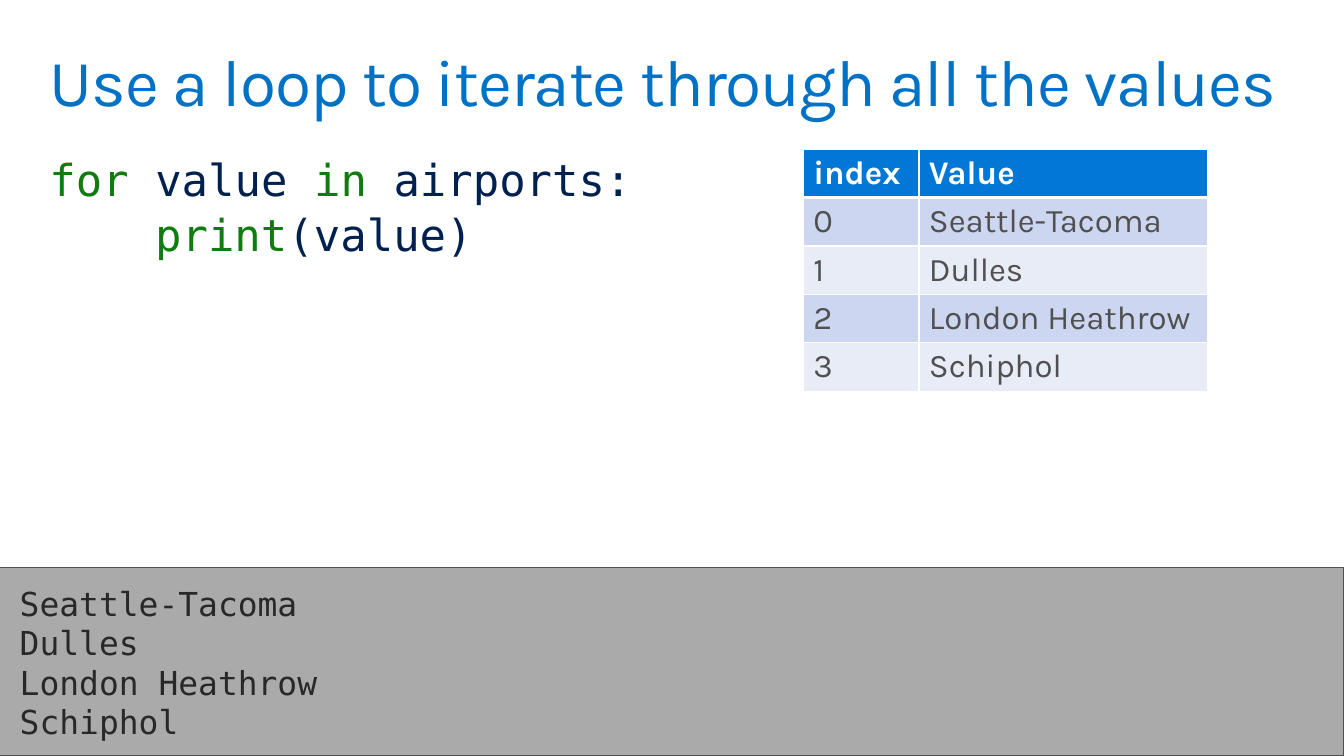
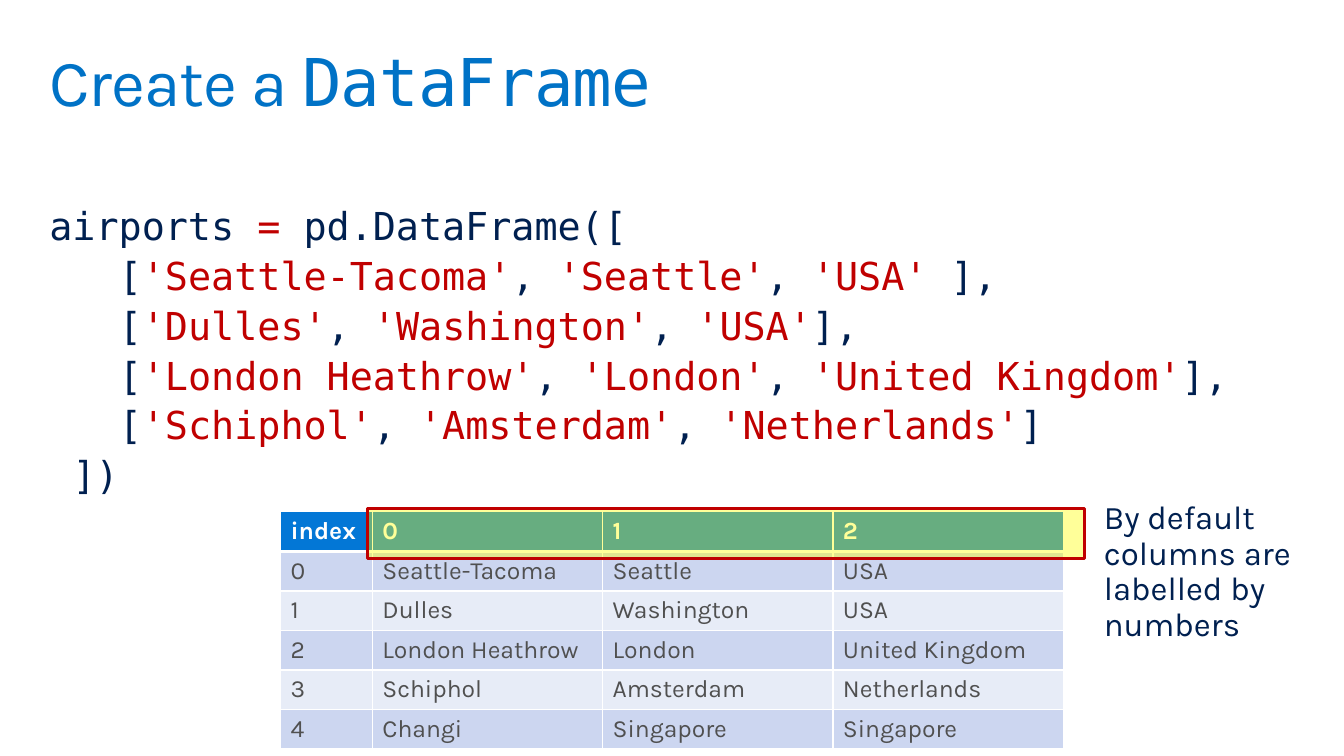
from dataclasses import dataclass
from typing import NamedTuple

from lxml.etree import SubElement
from pptx import Presentation
from pptx.dml.color import RGBColor
from pptx.enum.shapes import MSO_SHAPE
from pptx.enum.text import MSO_ANCHOR, MSO_AUTO_SIZE, PP_ALIGN
from pptx.oxml.ns import qn
from pptx.util import Inches, Pt

SANS, MONO = "Karla", "DejaVu Sans Mono"
BLUE, NAVY, GREEN, RED = "0072C6", "002050", "107C10", "C00000"
HEADER, BANDS, CELL_TEXT = "0377D6", ("CCD6F0", "E7ECF7"), "505050"
WHITE, CONSOLE, CONSOLE_TEXT, YELLOW = "FFFFFF", "AAAAAA", "282828", "FFFF00"
MONO_ADVANCE = 0.602
NBSP = "\u00a0"


class Box(NamedTuple):
    left: float
    top: float
    width: float
    height: float

    def lengths(self):
        return [Inches(v) for v in self]


class Token(NamedTuple):
    text: str
    color: str = NAVY
    font: str = MONO


@dataclass
class CodeLine:
    tokens: list[Token]
    indent: int = 0


@dataclass
class Grid:
    left: float
    top: float
    columns: list[float]
    row_height: float
    size: int
    rows: list[list[str]]


TITLE_BOX = Box(0.4, 0.4, 12.8, 1)
AIRPORTS = [
    ["Seattle-Tacoma", "Seattle", "USA"],
    ["Dulles", "Washington", "USA"],
    ["London Heathrow", "London", "United Kingdom"],
    ["Schiphol", "Amsterdam", "Netherlands"],
    ["Changi", "Singapore", "Singapore"],
]
LISTED = AIRPORTS[:4]


def rgb(color: str) -> RGBColor:
    return RGBColor.from_string(color)


def add_run(p, text: str, *, size: float, color: str, font: str = SANS,
            bold: bool = False, spacing: float = 0) -> None:
    r = p.add_run()
    r.text = text
    r.font.name, r.font.size, r.font.bold = font, Pt(size), bold
    r.font.color.rgb = rgb(color)
    if spacing:
        r._r.get_or_add_rPr().set("spc", str(round(spacing * 100)))


def set_frame(tf, side: float = 0.1, edge: float = 0.1) -> None:
    tf.word_wrap = True
    tf.auto_size = MSO_AUTO_SIZE.NONE
    tf.vertical_anchor = MSO_ANCHOR.TOP
    tf.margin_left = tf.margin_right = Inches(side)
    tf.margin_top = tf.margin_bottom = Inches(edge)


def paragraphs(tf, count: int) -> list:
    return [tf.paragraphs[0]] + [tf.add_paragraph() for _ in range(count - 1)]


def place(sp, box: Box) -> None:
    sp.left, sp.top, sp.width, sp.height = box.lengths()


def add_titled_slide(prs, title: list[Token]):
    s = prs.slides.add_slide(prs.slide_layouts[1])
    sp = s.shapes.title
    place(sp, TITLE_BOX)
    set_frame(sp.text_frame)
    p = sp.text_frame.paragraphs[0]
    p.alignment, p.line_spacing = PP_ALIGN.LEFT, 0.9
    for token in title:
        add_run(p, token.text, size=48, color=token.color, font=token.font, spacing=-0.7)
    return s


def fill_code(s, box: Box, lines: list[CodeLine], size: int) -> None:
    sp = s.placeholders[1]
    place(sp, box)
    set_frame(sp.text_frame)
    for p, line in zip(paragraphs(sp.text_frame, len(lines)), lines):
        p.line_spacing, p.space_before = 0.9, Pt(6)
        pPr = p._p.get_or_add_pPr()
        pPr.set("marL", str(Pt(line.indent * MONO_ADVANCE * size)))
        pPr.set("indent", "0")
        SubElement(pPr, qn("a:buNone"))
        for token in line.tokens:
            add_run(p, token.text, size=size, color=token.color, font=token.font)


def set_borders(cell, bottom: float) -> None:
    tcPr = cell._tc.get_or_add_tcPr()
    for side, width in (("L", 1), ("R", 1), ("T", 1), ("B", bottom)):
        ln = SubElement(tcPr, qn(f"a:ln{side}"), w=str(Pt(width)))
        fill = SubElement(ln, qn("a:solidFill"))
        SubElement(fill, qn("a:srgbClr"), val=WHITE)


def add_grid(s, grid: Grid) -> None:
    box = Box(grid.left, grid.top, sum(grid.columns), grid.row_height * len(grid.rows))
    table = s.shapes.add_table(len(grid.rows), len(grid.columns), *box.lengths()).table
    for column, width in zip(table.columns, grid.columns):
        column.width = Inches(width)
    for i, values in enumerate(grid.rows):
        is_header = i == 0
        table.rows[i].height = Inches(grid.row_height)
        for j, value in enumerate(values):
            cell = table.cell(i, j)
            set_borders(cell, 3 if is_header else 1)
            cell.fill.solid()
            cell.fill.fore_color.rgb = rgb(HEADER if is_header else BANDS[(i - 1) % 2])
            add_run(cell.text_frame.paragraphs[0], value, size=grid.size,
                    color=WHITE if is_header else CELL_TEXT, bold=is_header)


def add_rect(s, box: Box, fill: str, line: str, width: float, opacity: int = 100):
    sp = s.shapes.add_shape(MSO_SHAPE.RECTANGLE, *box.lengths())
    sp.shadow.inherit = False
    sp.fill.solid()
    sp.fill.fore_color.rgb = rgb(fill)
    sp.line.color.rgb = rgb(line)
    sp.line.width = Pt(width)
    if opacity < 100:
        color = sp._element.spPr.find(f"{qn('a:solidFill')}/{qn('a:srgbClr')}")
        SubElement(color, qn("a:alpha"), val=str(opacity * 1000))
    return sp


def add_console(s, lines: list[str]) -> None:
    sp = add_rect(s, Box(0, 5.74, 13.6, 1.91), CONSOLE, CELL_TEXT, 0.75)
    set_frame(sp.text_frame, 0.2, 0.16)
    for p, text in zip(paragraphs(sp.text_frame, len(lines)), lines):
        p.alignment = PP_ALIGN.LEFT
        add_run(p, text, size=24, color=CONSOLE_TEXT, font=MONO)


def add_note(s, box: Box, text: str) -> None:
    tf = s.shapes.add_textbox(*box.lengths()).text_frame
    set_frame(tf, 0.2, 0.16)
    p = tf.paragraphs[0]
    p.line_spacing, p.space_after = 0.9, Pt(6)
    add_run(p, text, size=24, color=NAVY)


def list_line(values: list[str], gap: str = "", end: str = ",") -> CodeLine:
    tokens = [Token("[")]
    for i, value in enumerate(values):
        if i:
            tokens.append(Token("," + NBSP))
        tokens.append(Token(f"'{value}'", RED))
    return CodeLine(tokens + [Token(f"{gap}]{end}")], indent=3)


def build_loop_slide(prs) -> None:
    names = [airport[0] for airport in LISTED]
    s = add_titled_slide(
        prs, [Token("Use a loop to iterate through all the values", BLUE, SANS)])
    fill_code(s, Box(0.4, 1.5, 12.8, 2.39), [
        CodeLine([Token("for", GREEN), Token(" value "), Token("in", GREEN),
                  Token(" airports:")]),
        CodeLine([Token("print", GREEN), Token("(value) ")], indent=4),
    ], 32)
    rows = [["index", "Value"]] + [[str(i), name] for i, name in enumerate(names)]
    add_grid(s, Grid(8.13, 1.51, [1.17, 2.92], 0.49, 24, rows))
    add_console(s, names)


def build_dataframe_slide(prs) -> None:
    s = add_titled_slide(
        prs, [Token("Create a ", BLUE, SANS), Token("DataFrame", BLUE)])
    first, *middle, last = LISTED
    fill_code(s, Box(0.4, 2, 12.8, 3.18), [
        CodeLine([Token("airports "), Token("= ", RED), Token("pd.DataFrame([")]),
        list_line(first, gap=" "),
        *[list_line(values) for values in middle],
        list_line(last, end=""),
        CodeLine([Token("])")], indent=1),
    ], 28)
    rows = [["index", "0", "1", "2"]]
    rows += [[str(i), *airport] for i, airport in enumerate(AIRPORTS)]
    add_grid(s, Grid(2.84, 5.18, [0.93] + [2.33] * 3, 0.4, 18, rows))
    add_note(s, Box(10.97, 4.91, 2.92, 1.78), "By default columns are labelled by numbers")
    add_rect(s, Box(3.72, 5.15, 7.25, 0.5), YELLOW, RED, 2.25, opacity=40)


prs = Presentation()
prs.slide_width, prs.slide_height = Inches(13.6), Inches(7.65)
build_loop_slide(prs)
build_dataframe_slide(prs)
prs.save("out.pptx")
